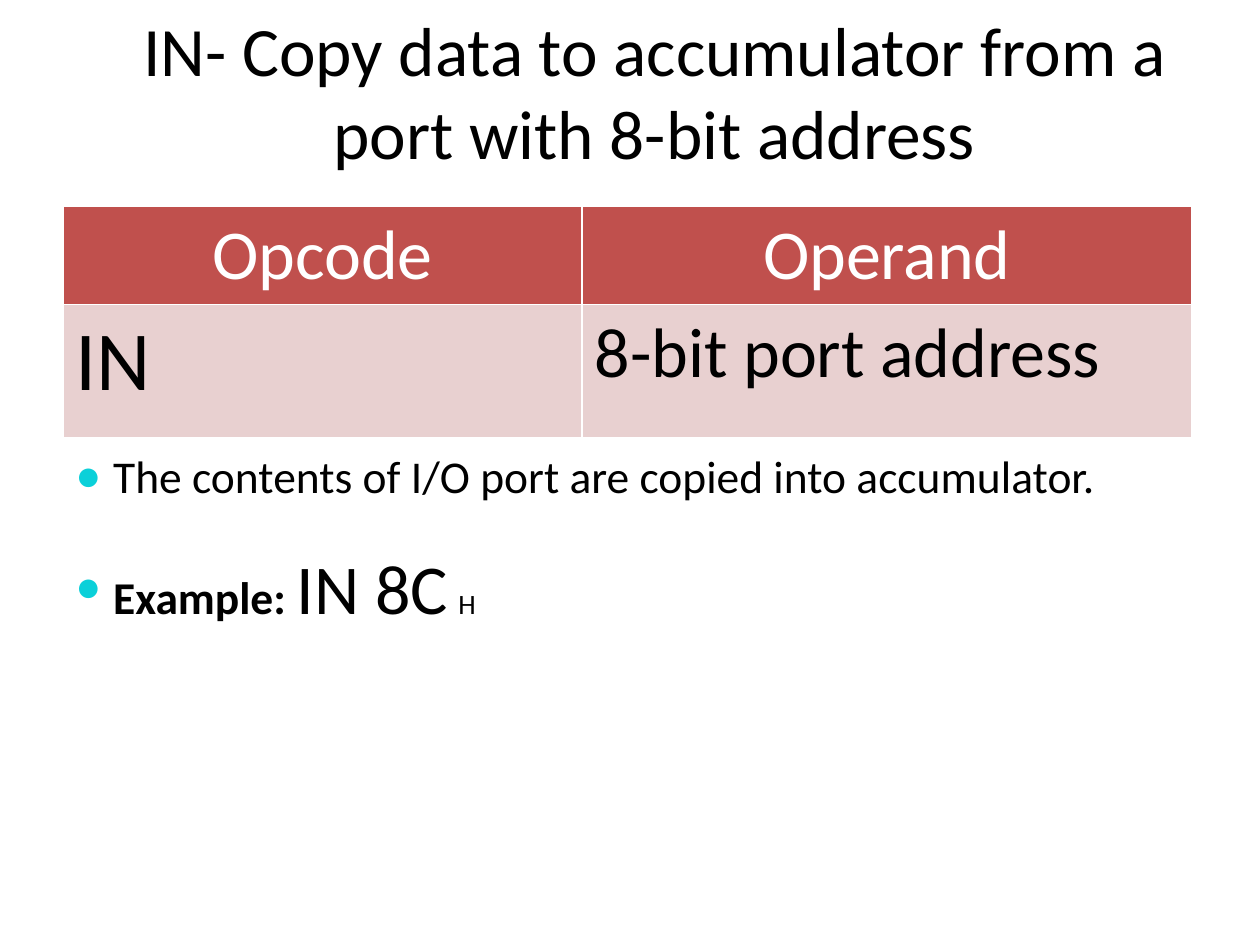
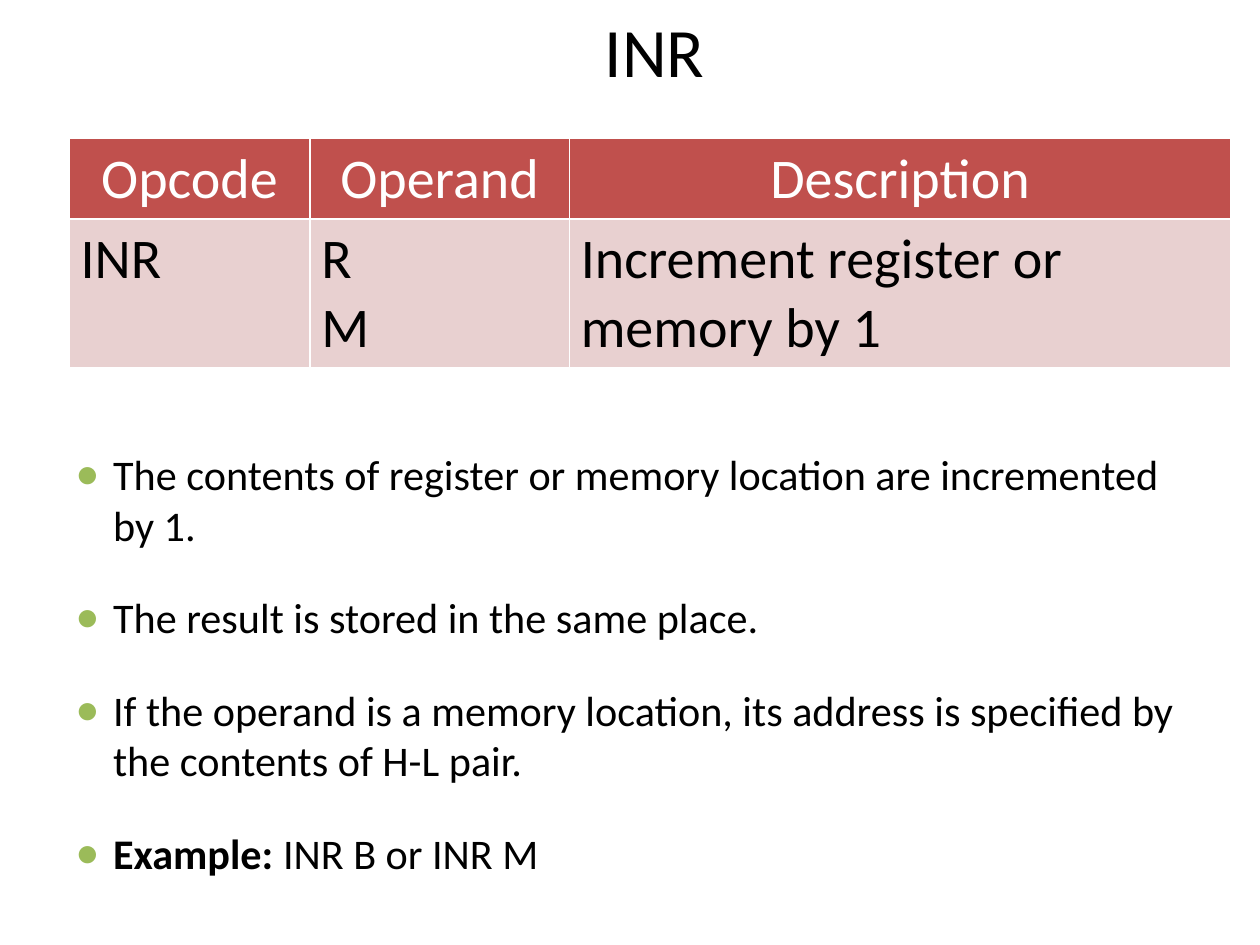
from lxml import etree
from pptx import Presentation
from pptx.dml.color import RGBColor
from pptx.enum import text
from pptx.oxml import ns
from pptx.util import Inches, Pt

FONT = "Calibri"
COLORS = {
    "ink": "000000",
    "white": "FFFFFF",
    "header": "C0504D",
    "row": "E8D0D0",
    "cyan": "0BD0D9",
    "green": "9BBB59",
}
BODY_BOX = (0.5, 3.51, 9, 3.4)


def rgb(name):
    return RGBColor.from_string(COLORS[name])


def sub(parent, tag, **attrs):
    return etree.SubElement(parent, ns.qn(tag), attrs)


def add_run(p, content, size, color="ink", bold=False):
    r = p.add_run()
    r.text = content
    r.font.name = FONT
    r.font.size = Pt(size)
    r.font.bold = bold
    r.font.color.rgb = rgb(color)


def add_text_frame(slide, box):
    tf = slide.shapes.add_textbox(*map(Inches, box)).text_frame
    tf.word_wrap = True
    return tf


def add_title(slide, title, box):
    tf = add_text_frame(slide, box)
    tf.vertical_anchor = text.MSO_ANCHOR.MIDDLE
    p = tf.paragraphs[0]
    p.alignment = text.PP_ALIGN.CENTER
    add_run(p, title, 39.6)


def set_bullet(p, color):
    pPr = p._p.get_or_add_pPr()
    pPr.set("marL", str(Inches(0.3)))
    pPr.set("indent", str(Inches(-0.3)))
    sub(sub(pPr, "a:buClr"), "a:srgbClr", val=COLORS[color])
    sub(pPr, "a:buSzPct", val="95000")
    sub(pPr, "a:buFont", typeface="Arial")
    sub(pPr, "a:buChar", char="●")


def add_bullets(slide, items, bullet_color, box=BODY_BOX):
    """Each item is a list of (text, size, bold) runs."""
    tf = add_text_frame(slide, box)
    for i, runs in enumerate(items):
        p = tf.add_paragraph() if i else tf.paragraphs[0]
        set_bullet(p, bullet_color)
        p.space_after = Pt(24)
        for content, size, bold in runs:
            add_run(p, content, size, bold=bold)


def style_cell(cell, fill, inset):
    cell.margin_left = cell.margin_right = Inches(inset)
    cell.margin_top = cell.margin_bottom = Inches(0.05)
    tcPr = cell._tc.get_or_add_tcPr()
    for side in ("L", "R", "T", "B"):
        ln = sub(tcPr, f"a:ln{side}", w=str(Pt(1)))
        sub(sub(ln, "a:solidFill"), "a:srgbClr", val=COLORS["white"])
    cell.fill.solid()
    cell.fill.fore_color.rgb = rgb(fill)


def add_opcode_table(slide, left, top, widths, heights, header, values,
                     header_size, value_sizes, inset=0.1):
    table = slide.shapes.add_table(
        2, len(widths), Inches(left), Inches(top),
        Inches(sum(widths)), Inches(sum(heights))).table
    for row, height in zip(table.rows, heights):
        row.height = Inches(height)
    for i, width in enumerate(widths):
        table.columns[i].width = Inches(width)
        head, body = table.cell(0, i), table.cell(1, i)
        style_cell(head, "header", inset)
        style_cell(body, "row", inset)
        p = head.text_frame.paragraphs[0]
        p.alignment = text.PP_ALIGN.CENTER
        add_run(p, header[i], header_size, "white")
        for j, line in enumerate(values[i].split("\n")):
            tf = body.text_frame
            p = tf.add_paragraph() if j else tf.paragraphs[0]
            add_run(p, line, value_sizes[i])


def build_in_slide(slide):
    add_opcode_table(
        slide, 0.5, 1.64, (4.12, 4.84), (0.77, 1.06),
        ("Opcode", "Operand"), ("IN", "8-bit port address"), 40, (48, 40))
    add_bullets(slide, [
        [("The contents of I/O port are copied into accumulator.", 26, False)],
        [("Example: ", 26, True), ("IN 8C", 40, False),
         (" ", 26, False), ("H", 16, False)],
    ], "cyan")
    add_title(slide, "IN- Copy data to accumulator from a port with 8-bit address",
              (0.62, 0, 9.15, 1.44))


def build_inr_slide(slide):
    add_opcode_table(
        slide, 0.55, 1.1, (1.91, 2.06, 5.25), (0.64, 1.18),
        ("Opcode", "Operand", "Description"),
        ("INR", "R\nM", "Increment register or memory by 1"),
        32, (32, 32, 32), inset=0.09)
    size = 24.1
    facts = (
        "The contents of register or memory location are incremented by 1.",
        "The result is stored in the same place.",
        "If the operand is a memory location, its address is specified by "
        "the contents of H-L pair.",
    )
    items = [[(fact, size, False)] for fact in facts]
    items.append([("Example: ", size, True), ("INR B or INR M", size, False)])
    add_bullets(slide, items, "green")
    add_title(slide, "INR", (0.62, 0, 9.15, 0.79))


def main():
    prs = Presentation()
    prs.slide_width, prs.slide_height = Inches(10), Inches(7.5)
    for build in (build_in_slide, build_inr_slide):
        build(prs.slides.add_slide(prs.slide_layouts[6]))
    prs.save("out.pptx")


if __name__ == "__main__":
    main()
